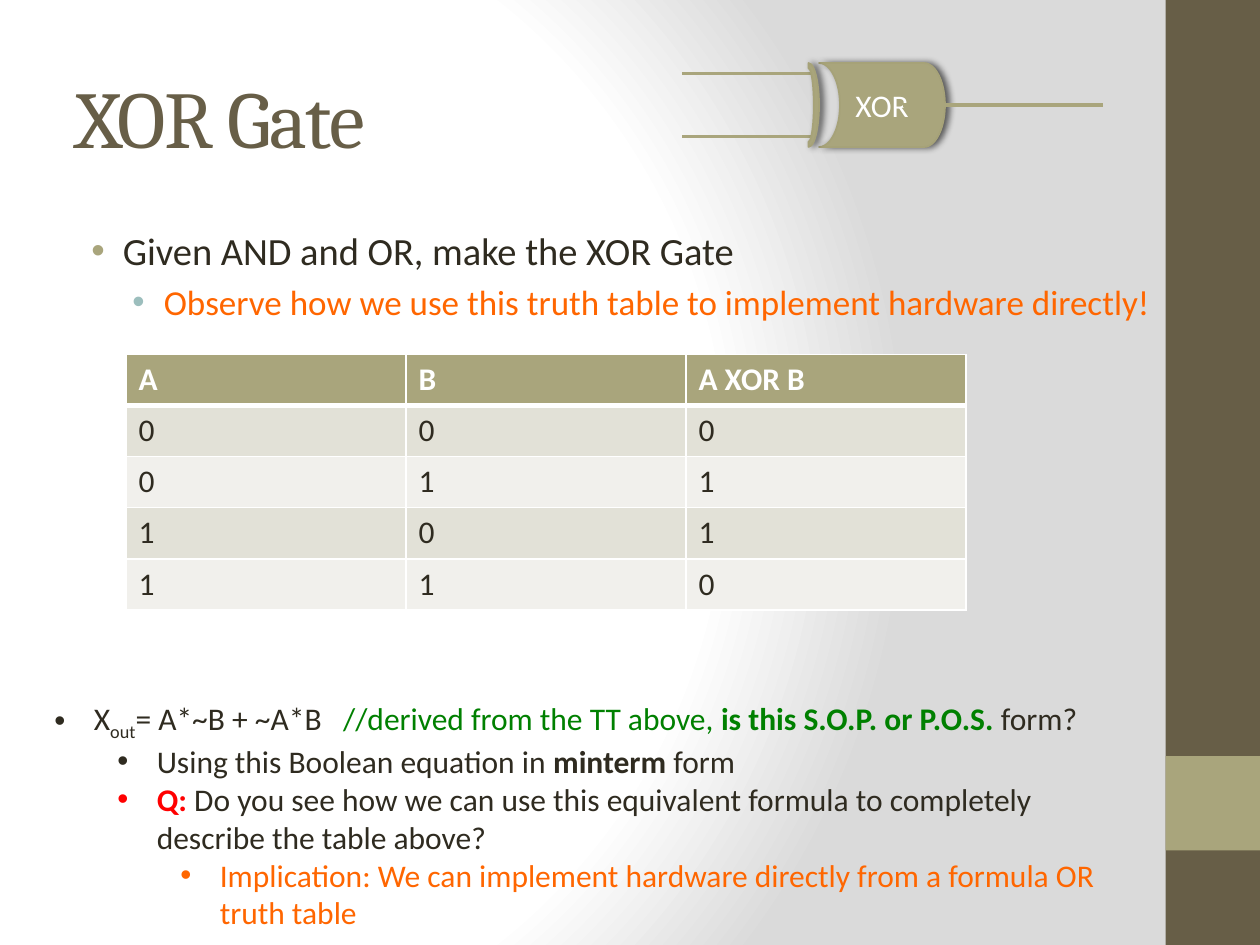
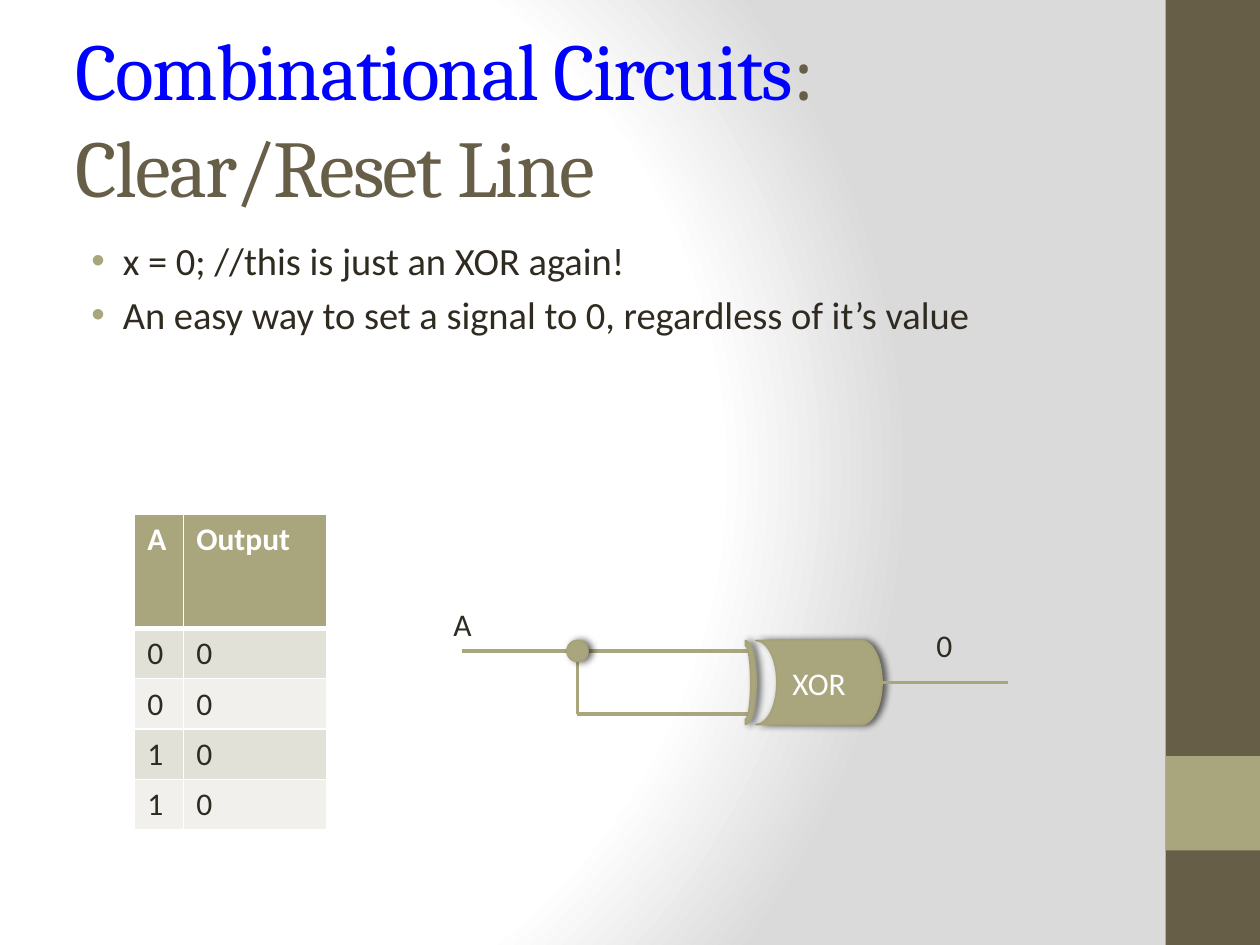
from pptx import Presentation
from pptx.dml.color import RGBColor
from pptx.enum.shapes import MSO_CONNECTOR, MSO_SHAPE as Shape
from pptx.enum.text import MSO_ANCHOR as Anchor, MSO_AUTO_SIZE as AutoSize, PP_ALIGN as Align
from pptx.oxml import parse_xml
from pptx.oxml.ns import nsdecls, qn
from pptx.util import Pt
from lxml.etree import SubElement

BROWN, OLIVE, OLIVE_EDGE, TEAL = "675E47", "A9A57C", "A6A278", "9CBEBD"
INK, WHITE, ORANGE, GREEN, RED, BLUE = "2F2B20", "FFFFFF", "FF6600", "008000", "FF0000", "0000FF"
ROW_FILLS = ["E2E1D7", "F1F0EC"]
HEAD_FONT, BODY_FONT = "Cambria", "Calibri"

BACKGROUND = f"""<p:bg {nsdecls('p', 'a')}><p:bgPr>
  <a:gradFill rotWithShape="1"><a:gsLst>
    <a:gs pos="0"><a:srgbClr val="FFFFFF"/></a:gs>
    <a:gs pos="75000"><a:srgbClr val="FFFFFF"/></a:gs>
    <a:gs pos="100000"><a:srgbClr val="DADADA"/></a:gs>
  </a:gsLst><a:path path="circle">
    <a:fillToRect l="20000" t="50000" r="100000" b="50000"/>
  </a:path></a:gradFill><a:effectLst/></p:bgPr></p:bg>"""


def rgb(value):
    return RGBColor.from_string(value)


def pts(*values):
    return [Pt(v) for v in values]


def place(sp, box):
    sp.left, sp.top, sp.width, sp.height = pts(*box)


# Text
def add_run(p, text, size, color=INK, bold=False, base=None, font=BODY_FONT):
    r = p.add_run()
    r.text = text
    r.font.name, r.font.size, r.font.bold = font, Pt(size), bold
    r.font.color.rgb = rgb(color)
    if base:
        r.font._element.set("baseline", str(base * 1000))
    return r


def set_bullet(p, left, hang, color, level=0):
    p.level = level
    pPr = p._p.get_or_add_pPr()
    pPr.set("marL", str(Pt(left)))
    pPr.set("indent", str(Pt(-hang)))
    SubElement(SubElement(pPr, qn("a:buClr")), qn("a:srgbClr")).set("val", color)
    SubElement(pPr, qn("a:buFont")).set("typeface", "Arial")
    SubElement(pPr, qn("a:buChar")).set("char", "•")
    return pPr


def paragraphs(tf, count):
    return [tf.paragraphs[0]] + [tf.add_paragraph() for _ in range(count - 1)]


def add_label(s, text, x, y):
    tf = s.shapes.add_textbox(*pts(x, y, 108, 29)).text_frame
    tf.word_wrap = True
    add_run(tf.paragraphs[0], text, 18)


# Shapes
def add_solid(s, kind, box, fill, rotation=0, raised=True):
    sp = s.shapes.add_shape(kind, *pts(*box))
    sp.rotation = rotation
    sp.fill.solid()
    sp.fill.fore_color.rgb = rgb(fill)
    sp.shadow.inherit = False
    if not raised:
        sp.line.fill.background()
        return sp
    sp.line.color.rgb = rgb(OLIVE_EDGE)
    sp.line.width = Pt(1)
    effects = sp.element.spPr.find(qn("a:effectLst"))
    effects.append(parse_xml(
        f'<a:outerShdw {nsdecls("a")} blurRad="{Pt(4)}" dist="{Pt(2)}" dir="0" rotWithShape="0">'
        '<a:srgbClr val="000000"><a:alpha val="60000"/></a:srgbClr></a:outerShdw>'))
    return sp


def add_wire(s, x1, y1, x2, y2):
    line = s.shapes.add_connector(MSO_CONNECTOR.STRAIGHT, *pts(x1, y1, x2, y2))
    line.line.color.rgb = rgb(OLIVE)
    line.line.width = Pt(2)
    SubElement(line.element.spPr, qn("a:effectLst"))


def add_xor_gate(s, x, y, upper_from, lower_from, out_from, out_to):
    body = add_solid(s, Shape.FLOWCHART_STORED_DATA, (x, y, 72, 48), OLIVE, 180)
    tf = body.text_frame
    tf.vertical_anchor = Anchor.MIDDLE
    tf._txBody.bodyPr.set("rot", "10800000")  # keeps the text upright
    p = tf.paragraphs[0]
    p.alignment = Align.CENTER
    add_run(p, "XOR", 18, WHITE)
    add_wire(s, upper_from, y + 6, x - 4, y + 6)
    add_wire(s, lower_from, y + 42, x - 4, y + 42)
    add_wire(s, out_from, y + 24, out_to, y + 24)
    add_solid(s, Shape.BLOCK_ARC, (x - 30, y + 18, 48, 12), OLIVE, 90)


# Truth table
def set_borders(cell, **widths):
    tcPr = cell._tc.get_or_add_tcPr()
    for i, side in enumerate("LRTB"):
        tcPr.insert(i, parse_xml(
            f'<a:ln{side} {nsdecls("a")} w="{Pt(widths.get(side, 1))}">'
            f'<a:solidFill><a:srgbClr val="{WHITE}"/></a:solidFill></a:ln{side}>'))


def add_truth_table(s, x, y, col_widths, row_heights, rows):
    size = pts(x, y, sum(col_widths), sum(row_heights))
    table = s.shapes.add_table(len(rows), len(col_widths), *size).table
    for col, width in zip(table.columns, col_widths):
        col.width = Pt(width)
    for i, (row, height, texts) in enumerate(zip(table.rows, row_heights, rows)):
        row.height = Pt(height)
        head = i == 0
        for cell, text in zip(row.cells, texts):
            cell.fill.solid()
            cell.fill.fore_color.rgb = rgb(OLIVE if head else ROW_FILLS[(i - 1) % 2])
            set_borders(cell, B=3 if head else 1, T=3 if i == 1 else 1)
            add_run(cell.text_frame.paragraphs[0], text, 18, WHITE if head else INK, head)


# Frame shared by the slides
def add_frame(prs, title_lines):
    s = prs.slides.add_slide(prs.slide_layouts[1])
    add_solid(s, Shape.RECTANGLE, (666, 0, 54, 540), BROWN, raised=False)
    add_solid(s, Shape.RECTANGLE, (666, 432, 54, 54), OLIVE, raised=False)
    title = s.shapes.title
    place(title, (36, 21.6, 600, 90))
    tf = title.text_frame
    tf.auto_size, tf.vertical_anchor = AutoSize.NONE, Anchor.MIDDLE
    p = tf.paragraphs[0]
    p.alignment = Align.LEFT
    for i, line in enumerate(title_lines):
        if i:
            p.add_line_break()
        for text, color in line:
            r = add_run(p, text, 46, color, font=HEAD_FONT)
            r.font._element.set("spc", "-100")
    return s


def fill_body(s, box, items):
    body = s.placeholders[1]
    place(body, box)
    tf = body.text_frame
    tf.auto_size = AutoSize.NONE
    for i, (p, (text, level)) in enumerate(zip(paragraphs(tf, len(items)), items)):
        left, size, mark, color = [(27, 22, OLIVE, INK), (50.4, 20, TEAL, ORANGE)][level]
        set_bullet(p, left, 18, mark, level)
        p.space_before = Pt(size / 5 if i else 0)
        add_run(p, text, size, color)


def add_formula_notes(s, box):
    notes = [
        (0, INK, [("X",), ("out", INK, False, -25), ("= A*~B + ~A*B\t",),
                  ("//derived from the TT above, ", GREEN),
                  ("is this S.O.P. or P.O.S.", GREEN, True), (" form?",)]),
        (1, INK, [("Using this Boolean equation in ",), ("minterm", INK, True), (" form",)]),
        (1, RED, [("Q:", RED, True), (" Do you see how we can use this equivalent formula "
                                      "to completely describe the table above?",)]),
        (2, ORANGE, [("Implication: We can implement hardware directly from a formula "
                      "OR truth table", ORANGE)]),
    ]
    tf = s.shapes.add_textbox(*pts(*box)).text_frame
    tf.word_wrap, tf.auto_size = True, AutoSize.SHAPE_TO_FIT_TEXT
    for p, (level, mark, runs) in zip(paragraphs(tf, len(notes)), notes):
        pPr = set_bullet(p, 22.5 + 36 * level, 22.5, mark, level)
        if level == 0:  # tab stop before the comment
            tab = SubElement(SubElement(pPr, qn("a:tabLst")), qn("a:tab"))
            tab.set("pos", str(Pt(165)))
            tab.set("algn", "l")
        for text, *style in runs:
            add_run(p, text, 18, *style)


def xor_slide(prs):
    s = add_frame(prs, [[("XOR Gate", BROWN)]])
    fill_body(s, (36, 126, 636, 378), [
        ("Given AND and OR, make the XOR Gate", 0),
        ("Observe how we use this truth table to implement hardware directly!", 1)])
    add_truth_table(s, 72, 202.5, [160] * 3, [29.2] * 5,
                    [("A", "B", "A XOR B"), "000", "011", "101", "110"])
    add_xor_gate(s, 468, 36, 390, 390, 516, 630)
    add_formula_notes(s, (24, 396, 624, 138))


def reset_slide(prs):
    s = add_frame(prs, [[("Combinational Circuits", BLUE), (": ", BROWN)],
                        [("Clear/Reset Line", BROWN)]])
    fill_body(s, (36, 132, 600, 138), [
        ("x = 0; //this is just an XOR again!", 0),
        ("An easy way to set a signal to 0, regardless of it’s value", 0)])
    add_xor_gate(s, 432, 366, 264, 330, 490, 576)
    add_label(s, "A", 252, 342)
    add_label(s, "0", 528, 354)
    add_truth_table(s, 77, 294, [28, 81.5], [65] + [28.8] * 4,
                    [("A", "Output"), "00", "00", "10", "10"])
    # Branch from A to the lower input
    add_wire(s, 330, 408, 330, 372)
    add_solid(s, Shape.OVAL, (324, 366, 12, 12), OLIVE)


def main():
    prs = Presentation()
    prs.slide_width, prs.slide_height = pts(720, 540)
    cSld = prs.slide_master.element.cSld
    cSld.remove(cSld.find(qn("p:bg")))
    cSld.insert(0, parse_xml(BACKGROUND))
    xor_slide(prs)
    reset_slide(prs)
    prs.save("out.pptx")


if __name__ == "__main__":
    main()
